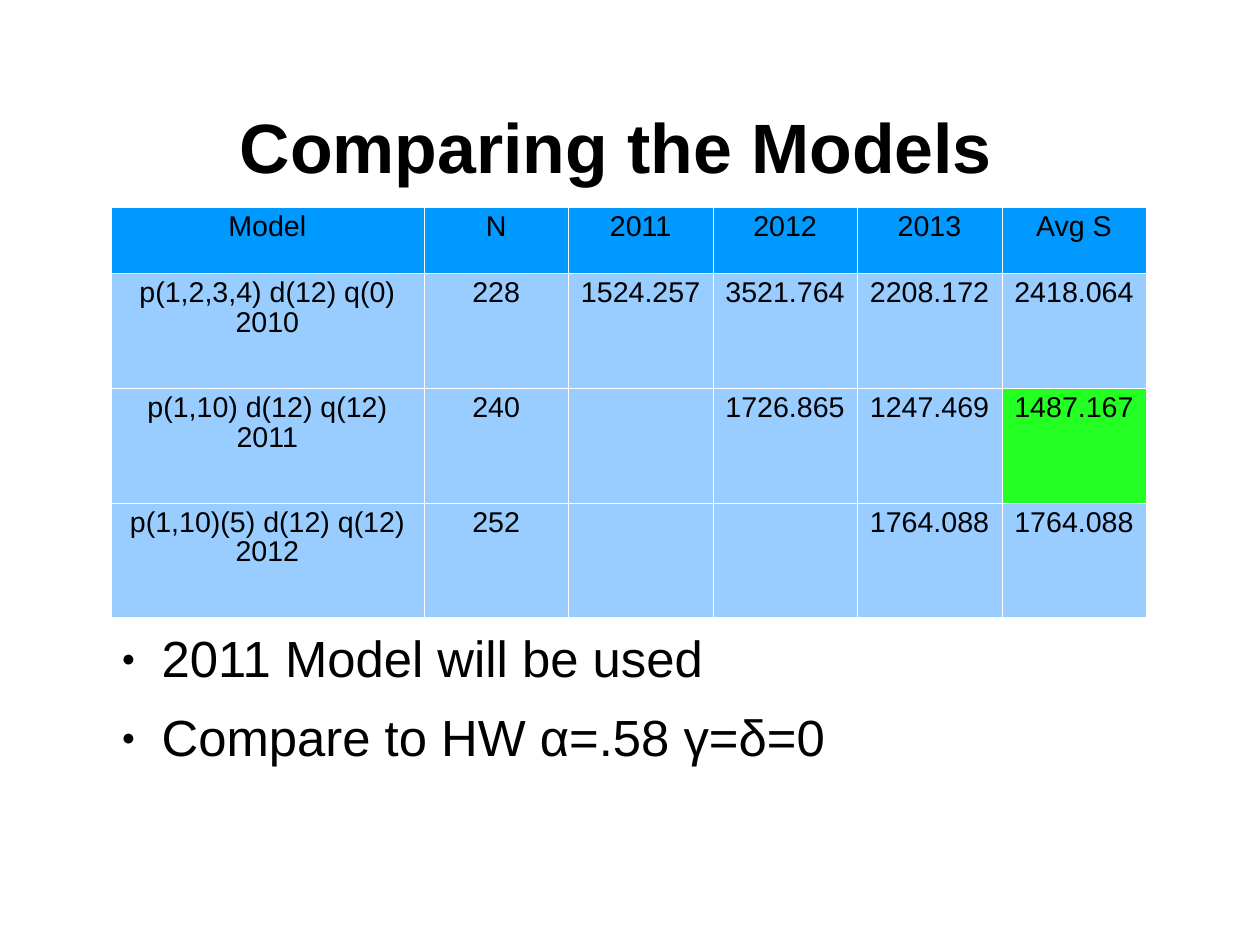
from lxml import etree
from pptx import Presentation, util as u
from pptx.dml.color import RGBColor
from pptx.enum import text
from pptx.oxml import ns

# The slide is a grid of 28 columns and 21 rows
COLUMNS, ROWS = 28, 21
WIDTH, HEIGHT = u.Cm(COLUMNS), u.Cm(ROWS)
BLACK = RGBColor(0x00, 0x00, 0x00)
WHITE = RGBColor(0xFF, 0xFF, 0xFF)
HEADER_BLUE = RGBColor(0x00, 0x99, 0xFF)
ROW_BLUE = RGBColor(0x99, 0xCC, 0xFF)
BEST_GREEN = RGBColor(0x23, 0xFF, 0x23)
FONT = "Arial"
LINE_SPACING = 0.93

MODEL_COLUMN, VALUE_COLUMN = 6.96, 3.21
HEADER_ROW, MODEL_ROW = 1.47, 2.55
BEST_CELL = (2, 5)
MODELS = [
    ["Model", "N", "2011", "2012", "2013", "Avg S"],
    ["p(1,2,3,4) d(12) q(0) 2010", "228", "1524.257", "3521.764", "2208.172", "2418.064"],
    ["p(1,10) d(12) q(12) 2011", "240", "", "1726.865", "1247.469", "1487.167"],
    ["p(1,10)(5) d(12) q(12) 2012", "252", "", "", "1764.088", "1764.088"],
]
CONCLUSIONS = ["2011 Model will be used", "Compare to HW α=.58 γ=δ=0"]


def across(columns):
    return int(WIDTH * columns / COLUMNS)


def down(rows):
    return int(HEIGHT * rows / ROWS)


def area(left, top, width, height):
    return across(left), down(top), across(width), down(height)


def add_element(parent, tag, **attributes):
    return etree.SubElement(parent, ns.qn(tag), attributes)


def format_paragraph(paragraph, size, bold=False, align=text.PP_ALIGN.CENTER):
    paragraph.alignment = align
    paragraph.line_spacing = LINE_SPACING
    font = paragraph.font
    font.name, font.size, font.bold = FONT, u.Pt(size), bold
    font.color.rgb = BLACK


def fit_placeholder(placeholder, box, top_inset, anchor):
    placeholder.left, placeholder.top, placeholder.width, placeholder.height = box
    frame = placeholder.text_frame
    frame.auto_size = text.MSO_AUTO_SIZE.NONE
    frame.vertical_anchor = anchor
    frame.margin_left = frame.margin_right = frame.margin_bottom = 0
    frame.margin_top = u.Inches(top_inset)
    return frame


def add_title(slide, title):
    frame = fit_placeholder(slide.shapes.title, area(1.4, 1.54, 24.6, 3.5),
                            0.04, text.MSO_ANCHOR.MIDDLE)
    frame.text = title
    format_paragraph(frame.paragraphs[0], 44, bold=True)


def add_bullet(paragraph):
    properties = paragraph._p.get_or_add_pPr()
    properties.set("marL", str(u.Inches(0.47)))
    properties.set("indent", str(u.Inches(-0.35)))
    color = add_element(properties, "a:buClr")
    add_element(color, "a:srgbClr", val=str(BLACK))
    add_element(properties, "a:buSzPct", val="45000")
    add_element(properties, "a:buFont", typeface=FONT)
    add_element(properties, "a:buChar", char="●")


def add_conclusions(slide, lines):
    frame = fit_placeholder(slide.placeholders[1], area(2.4, 13.97, 23, 5.25),
                            0.03, text.MSO_ANCHOR.TOP)
    frame.text = "\n".join(lines)
    for paragraph in frame.paragraphs:
        add_bullet(paragraph)
        paragraph.space_before = u.Pt(0)
        paragraph.space_after = u.Pt(14.3)
        format_paragraph(paragraph, 32, align=text.PP_ALIGN.LEFT)


def add_borders(cell):
    properties = cell._tc.get_or_add_tcPr()
    for side in ("a:lnL", "a:lnR", "a:lnT", "a:lnB"):
        line = add_element(properties, side, w=str(u.Pt(0.06)))
        fill = add_element(line, "a:solidFill")
        add_element(fill, "a:srgbClr", val=str(WHITE))


def cell_color(row, column):
    if (row, column) == BEST_CELL:
        return BEST_GREEN
    return ROW_BLUE if row else HEADER_BLUE


def add_model_table(slide, rows):
    table = slide.shapes.add_table(len(rows), len(rows[0]),
                                   *area(2.46, 4.6, 23.01, 9.12)).table
    for index, column in enumerate(table.columns):
        column.width = across(VALUE_COLUMN if index else MODEL_COLUMN)
    for index, row in enumerate(table.rows):
        row.height = down(MODEL_ROW if index else HEADER_ROW)
    for row, values in enumerate(rows):
        for column, value in enumerate(values):
            cell = table.cell(row, column)
            cell.text = value
            format_paragraph(cell.text_frame.paragraphs[0], 18)
            add_borders(cell)
            cell.fill.solid()
            cell.fill.fore_color.rgb = cell_color(row, column)


def main():
    presentation = Presentation()
    presentation.slide_width, presentation.slide_height = WIDTH, HEIGHT
    slide = presentation.slides.add_slide(presentation.slide_layouts[1])

    # Heading, model comparison and conclusions
    add_title(slide, "Comparing the Models")
    add_model_table(slide, MODELS)
    add_conclusions(slide, CONCLUSIONS)

    presentation.save("out.pptx")


if __name__ == "__main__":
    main()
